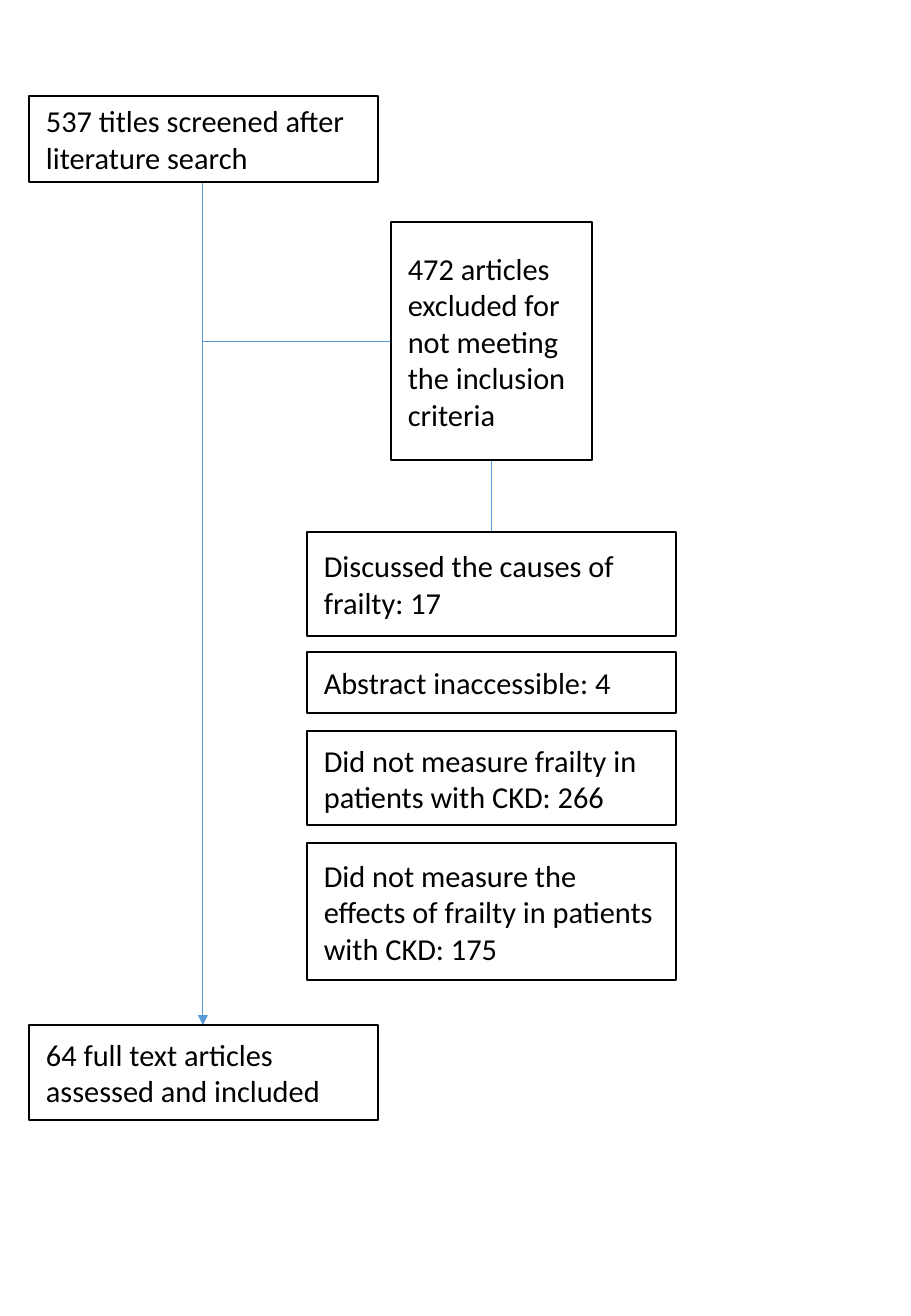
from lxml.etree import SubElement
from pptx import Presentation
from pptx.dml.color import RGBColor
from pptx.enum.shapes import MSO_CONNECTOR, MSO_SHAPE
from pptx.enum.text import MSO_ANCHOR, PP_ALIGN
from pptx.oxml.ns import qn
from pptx.util import Inches, Pt

PIXEL = Inches(1) / 121.5
COLORS = {"ink": "000000", "connector": "5B9BD5"}

deck = Presentation()
deck.slide_width, deck.slide_height = Inches(7.5), Inches(10.83)
page = deck.slides.add_slide(deck.slide_layouts[6])


def add_box(text, *bounds):
    box = page.shapes.add_shape(MSO_SHAPE.RECTANGLE, *(round(n * PIXEL) for n in bounds))
    box.shadow.inherit = False
    box.fill.background()
    box.line.color.rgb = RGBColor.from_string(COLORS["ink"])
    box.line.width = Pt(1)
    frame = box.text_frame
    frame.word_wrap = True
    frame.vertical_anchor = MSO_ANCHOR.MIDDLE
    frame.margin_left = frame.margin_right = round(17 * PIXEL)
    frame.margin_top = frame.margin_bottom = round(9 * PIXEL)
    para = frame.paragraphs[0]
    para.text = text
    para.alignment = PP_ALIGN.LEFT
    para.font.name = "Calibri"
    para.font.size = Pt(18)
    para.font.color.rgb = RGBColor.from_string(COLORS["ink"])


def add_line(*ends, arrow=False):
    line = page.shapes.add_connector(MSO_CONNECTOR.STRAIGHT, *(round(n * PIXEL) for n in ends))
    line.line.color.rgb = RGBColor.from_string(COLORS["connector"])
    line.line.width = Pt(0.5)
    if arrow:
        SubElement(line.line._get_or_add_ln(), qn("a:tailEnd"), type="triangle")
    SubElement(line._element.spPr, qn("a:effectLst"))


# Connectors: main flow, branch to exclusions, exclusions to reasons
add_line(203, 182, 203, 1025, arrow=True)
add_line(203, 341, 391, 341)
add_line(492, 460, 492, 532)

# Screened and included articles
for text, top, height in [
    ("537 titles screened after literature search", 96, 86),
    ("64 full text articles assessed and included", 1025, 95),
]:
    add_box(text, 29, top, 349, height)

# Excluded articles
add_box("472 articles excluded for not meeting the inclusion criteria", 391, 222, 201, 238)

# Reasons for exclusion
for text, top, height in [
    ("Discussed the causes of frailty: 17", 532, 104),
    ("Abstract inaccessible: 4", 652, 61),
    ("Did not measure frailty in patients with CKD: 266", 731, 94),
    ("Did not measure the effects of frailty in patients with CKD: 175", 843, 137),
]:
    add_box(text, 307, top, 369, height)

deck.save("out.pptx")
